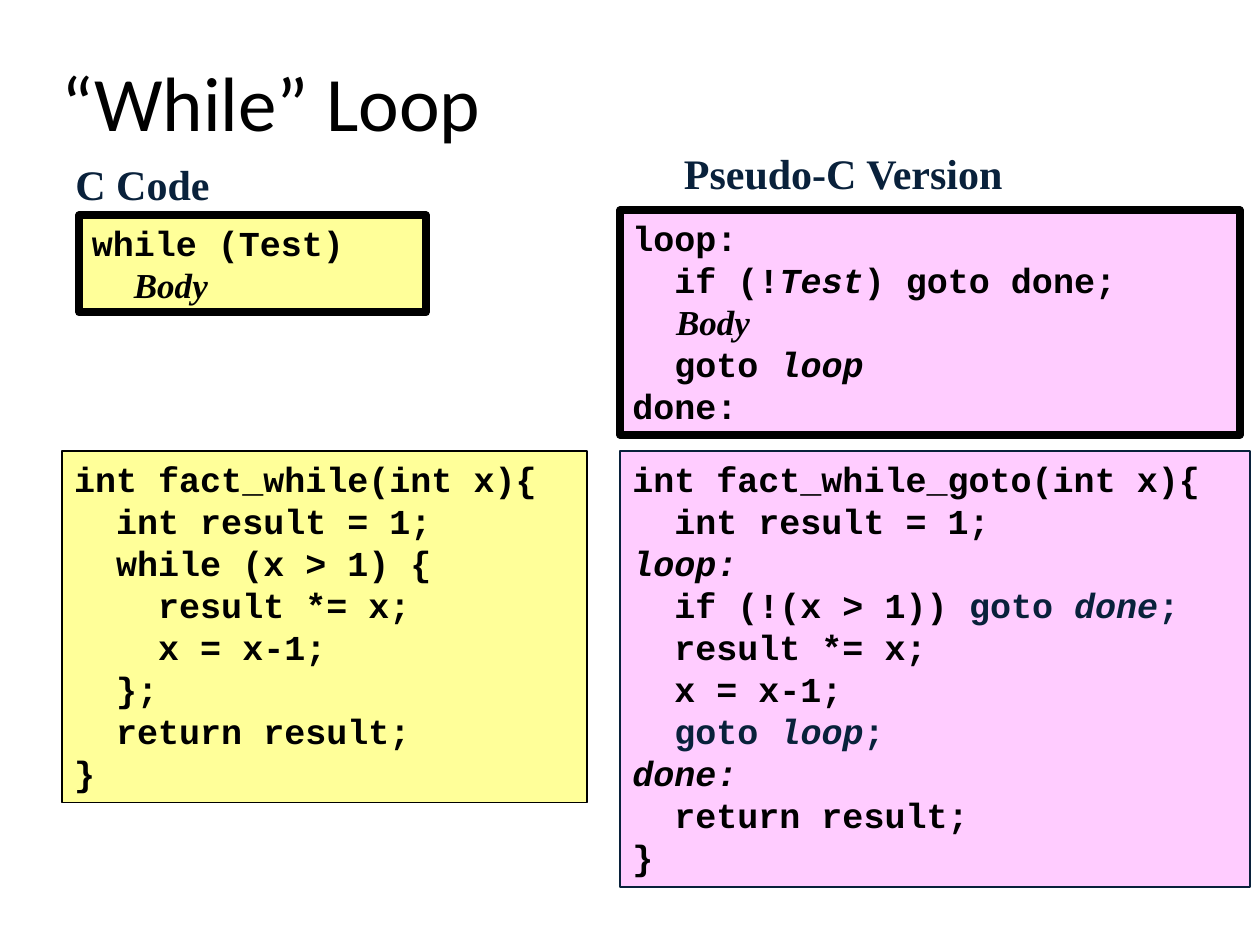
import pptx
import pptx.util
from dataclasses import dataclass
from pptx.dml.color import RGBColor
from pptx.enum.shapes import MSO_SHAPE
from pptx.enum.text import MSO_ANCHOR, MSO_AUTO_SIZE, PP_ALIGN
from pptx.util import Inches, Pt


@dataclass(frozen=True)
class Theme:
    black: RGBColor = RGBColor(0x00, 0x00, 0x00)
    navy: RGBColor = RGBColor(0x09, 0x21, 0x3B)
    yellow: RGBColor = RGBColor(0xFF, 0xFF, 0x99)
    pink: RGBColor = RGBColor(0xFF, 0xCC, 0xFF)
    title_font: str = "Calibri"
    heading_font: str = "Times New Roman"
    code_font: str = "Courier New"
    title_size: int = 44
    heading_size: int = 24
    code_size: int = 20
    thin: float = 1
    thick: float = 4.5


THEME = Theme()


# Span styles used inside code lines
def italic(text):
    return text, {"italic": True}


def body(text):
    return text, {"italic": True, "name": THEME.heading_font}


def jump(text):
    return text, {"color": THEME.navy}


def jump_label(text):
    return text, {"color": THEME.navy, "italic": True}


WHILE_FORM = ["while (Test)", ["  ", body("Body")]]

GOTO_FORM = [
    "loop:",
    ["  if (!", italic("Test"), ") goto done;"],
    [body("     Body")],
    ["  goto ", italic("loop")],
    "done:",
]

WHILE_CODE = [
    "int fact_while(int x){",
    "  int result = 1;",
    "  while (x > 1) {",
    "    result *= x;",
    "    x = x-1;",
    "  };",
    "  return result;",
    "}",
]

GOTO_CODE = [
    "int fact_while_goto(int x){",
    "  int result = 1;",
    [italic("loop:")],
    ["  if (!(x > 1)) ", jump("goto"), jump_label(" done"), jump(";")],
    "  result *= x;",
    "  x = x-1;",
    [jump("  goto"), jump_label(" loop"), jump(";")],
    [italic("done:")],
    "  return result;",
    "}",
]


def set_font(font, name, size, color, bold):
    font.name = name
    font.size = Pt(size)
    font.color.rgb = color
    font.bold = bold


def set_title(page, text):
    title = page.shapes.title
    title.left, title.top = Inches(0.25), Inches(0.33)
    title.width, title.height = Inches(7.61), Inches(0.63)
    frame = title.text_frame
    frame.auto_size = MSO_AUTO_SIZE.NONE
    frame.vertical_anchor = MSO_ANCHOR.TOP
    frame.margin_left, frame.margin_top = Inches(0.24), Inches(0.1)
    frame.text = text
    para = frame.paragraphs[0]
    para.alignment = PP_ALIGN.LEFT
    set_font(para.font, THEME.title_font, THEME.title_size, THEME.black, False)


def add_heading(page, text, left, top, width):
    box = page.shapes.add_textbox(Inches(left), Inches(top), Inches(width), Inches(0.45))
    frame = box.text_frame
    frame.word_wrap = True
    frame.margin_top = Inches(0.09)
    frame.text = text
    set_font(frame.paragraphs[0].font, THEME.heading_font, THEME.heading_size,
             THEME.navy, True)


def add_span(para, text, style):
    span = para.add_run()
    span.text = text
    if "name" in style:
        span.font.name = style["name"]
    if "italic" in style:
        span.font.italic = style["italic"]
    if "color" in style:
        span.font.color.rgb = style["color"]


def add_code(page, lines, place, fill, line_color, line_width):
    box = page.shapes.add_shape(MSO_SHAPE.RECTANGLE, *map(Inches, place))
    box.shadow.inherit = False
    box.fill.solid()
    box.fill.fore_color.rgb = fill
    box.line.color.rgb = line_color
    box.line.width = Pt(line_width)

    frame = box.text_frame
    frame.word_wrap = True
    frame.auto_size = MSO_AUTO_SIZE.SHAPE_TO_FIT_TEXT
    frame.vertical_anchor = MSO_ANCHOR.TOP
    for number, line in enumerate(lines):
        para = frame.add_paragraph() if number else frame.paragraphs[0]
        para.alignment = PP_ALIGN.LEFT
        set_font(para.font, THEME.code_font, THEME.code_size, THEME.black, True)
        for part in [line] if isinstance(line, str) else line:
            text, style = (part, {}) if isinstance(part, str) else part
            add_span(para, text, style)


def main():
    deck = pptx.Presentation()
    deck.slide_width, deck.slide_height = Inches(10), Inches(7.5)
    page = deck.slides.add_slide(deck.slide_layouts.get_by_name("Title Only"))
    set_title(page, "“While” Loop")

    # Left column: C code
    add_heading(page, "C Code", 0.5, 1.17, 2.85)
    add_code(page, WHILE_FORM, (0.63, 1.71, 2.75, 0.77),
             THEME.yellow, THEME.black, THEME.thick)
    add_code(page, WHILE_CODE, (0.49, 3.58, 4.17, 2.79),
             THEME.yellow, THEME.black, THEME.thin)

    # Right column: goto version
    add_heading(page, "Pseudo-C Version", 5.33, 1.08, 4.17)
    add_code(page, GOTO_FORM, (4.92, 1.67, 4.92, 1.78),
             THEME.pink, THEME.black, THEME.thick)
    add_code(page, GOTO_CODE, (4.92, 3.58, 5, 3.46),
             THEME.pink, THEME.navy, THEME.thin)

    deck.save("out.pptx")


if __name__ == "__main__":
    main()
